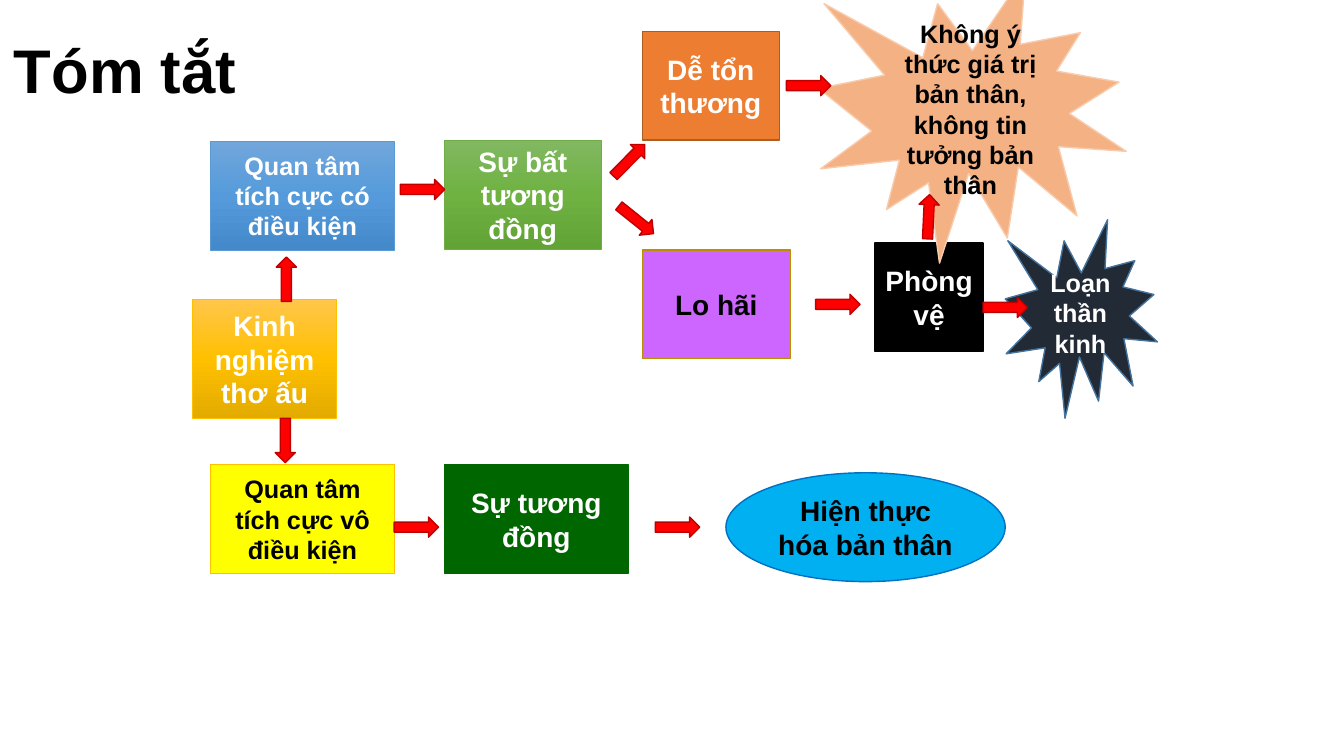
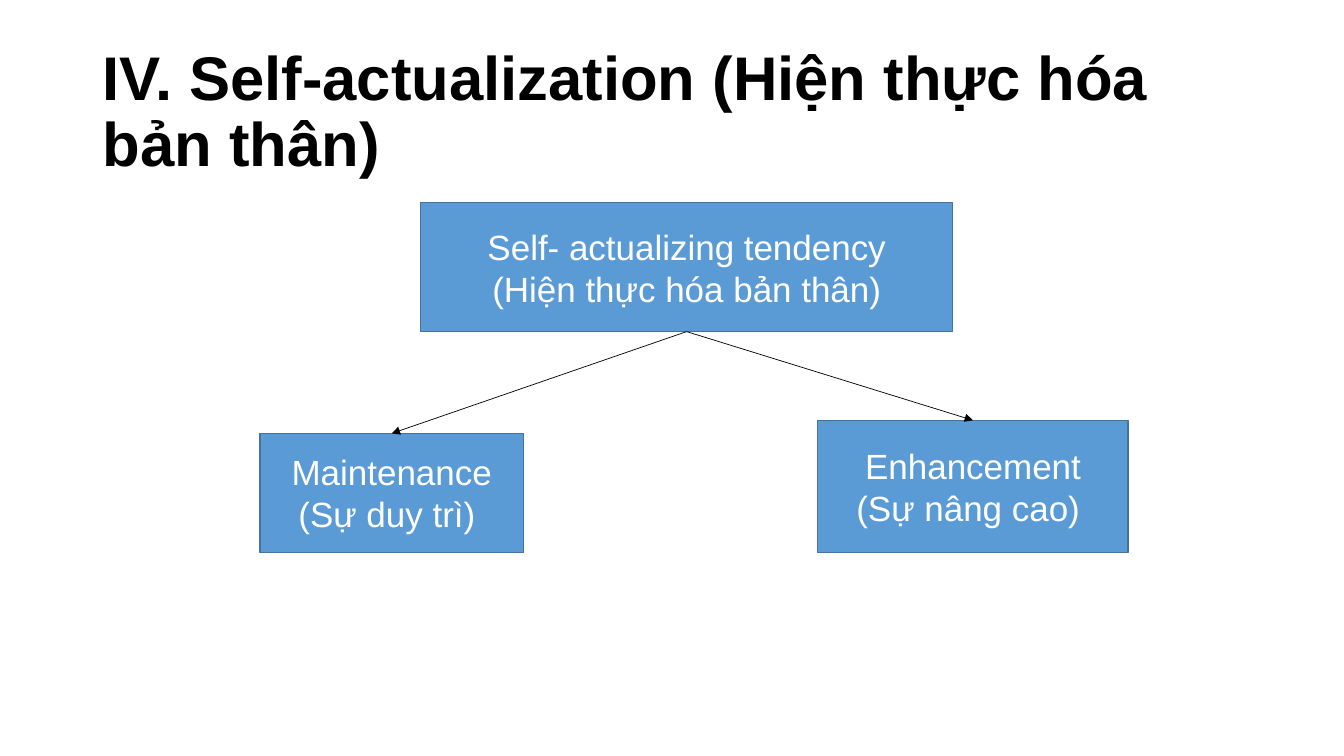
"""Build two slides on self-actualization: a summary flow and a small tree."""
import copy
import dataclasses

import lxml.etree
import pptx
import pptx.dml.color
import pptx.enum.shapes
import pptx.enum.text
import pptx.oxml.ns
import pptx.util

SHAPE = pptx.enum.shapes.MSO_SHAPE
ALIGN = pptx.enum.text.PP_ALIGN
MIDDLE = pptx.enum.text.MSO_ANCHOR.MIDDLE
qn = pptx.oxml.ns.qn
SCALE = 9144
TOP, BOTTOM = 0, 2


@dataclasses.dataclass(frozen=True)
class Theme:
    font: str = "Arial"
    title: int = 44
    tree: int = 25
    large: int = 20
    small: int = 18
    thin: float = 0.5
    line: float = 1
    black: str = "000000"
    white: str = "FFFFFF"
    red: str = "FF0000"
    maroon: str = "C00000"
    gold: str = "FFC000"
    ochre: str = "BD8E00"
    yellow: str = "FFFF00"
    orange: str = "ED7D31"
    rust: str = "AF5C24"
    peach: str = "F4B183"
    cream: str = "F8CBAD"
    leaf: str = "70AD47"
    forest: str = "006600"
    violet: str = "CC66FF"
    blue: str = "5B9BD5"
    steel: str = "43739E"
    navy: str = "222A35"
    sky: str = "00B0F0"
    cobalt: str = "0070C0"
    amber_fade: tuple = ("FFC64B", "FFC000", "E3AB00")
    leaf_fade: tuple = ("81B861", "6FB242", "62A336")
    blue_fade: tuple = ("71A6DB", "559BDB", "448ACA")


def px(*sizes):
    return [pptx.util.Emu(size * SCALE) for size in sizes]


def rgb(code):
    return pptx.dml.color.RGBColor.from_string(code)


class Deck:
    def __init__(self, theme):
        self.theme = theme
        self.file = pptx.Presentation()
        self.file.slide_width, self.file.slide_height = px(1333, 750)
        self.slide = None

    def page(self):
        self.slide = self.file.slides.add_slide(self.file.slide_layouts[6])

    def label(self, shape, lines, size, color, bold=True, align=ALIGN.CENTER, space=None):
        frame = shape.text_frame
        frame.word_wrap = True
        frame.vertical_anchor = MIDDLE
        for i, line in enumerate(lines):
            para = frame.add_paragraph() if i else frame.paragraphs[0]
            para.alignment = align
            para.line_spacing = space
            run = para.add_run()
            run.text = line
            run.font.name = self.theme.font
            run.font.size = pptx.util.Pt(size)
            run.font.bold = bold
            run.font.color.rgb = rgb(color)

    def title(self, text, left, top):
        box = self.slide.shapes.add_textbox(*px(left, top, 1150, 145))
        self.label(box, [text], self.theme.title, self.theme.black, align=ALIGN.LEFT, space=0.9)

    def fade(self, shape, colors):
        shape.fill.gradient()
        shape.fill.gradient_angle = 270
        stops = shape._element.spPr.find(".//" + qn("a:gsLst"))
        stops.insert(1, copy.deepcopy(stops[0]))
        for stop, color, spot in zip(shape.fill.gradient_stops, colors, (0, 0.5, 1)):
            stop.color.rgb = rgb(color)
            stop.position = spot

    def shape(self, kind, place, fill, edge, width=None):
        shape = self.slide.shapes.add_shape(kind, *px(*place))
        shape.shadow.inherit = False
        if isinstance(fill, tuple):
            self.fade(shape, fill)
        else:
            shape.fill.solid()
            shape.fill.fore_color.rgb = rgb(fill)
        shape.line.color.rgb = rgb(edge)
        shape.line.width = pptx.util.Pt(width or self.theme.line)
        return shape

    def arrow(self, left, top, turn=0):
        look = self.theme
        arrow = self.shape(SHAPE.RIGHT_ARROW, (left, top, 44, 20), look.red, look.maroon)
        arrow.rotation = turn

    def node(self, *place, lines):
        look = self.theme
        node = self.shape(SHAPE.RECTANGLE, place, look.blue, look.steel)
        self.label(node, lines, look.tree, look.white, bold=False)
        return node

    def link(self, start, end):
        kind = pptx.enum.shapes.MSO_CONNECTOR.STRAIGHT
        link = self.slide.shapes.add_connector(kind, 0, 0, 0, 0)
        link.begin_connect(start, BOTTOM)
        link.end_connect(end, TOP)
        link.line.color.rgb = rgb(self.theme.black)
        link.line.width = pptx.util.Pt(self.theme.thin)
        props = link._element.spPr
        lxml.etree.SubElement(props.find(qn("a:ln")), qn("a:tailEnd"), type="triangle")
        lxml.etree.SubElement(props, qn("a:effectLst"))


def flow(deck):
    look = deck.theme
    rect, seal = SHAPE.RECTANGLE, SHAPE.EXPLOSION1
    thin, line = look.thin, look.line
    large, small = look.large, look.small
    black, white = look.black, look.white
    deck.page()
    for kind, place, fill, edge, width, text, size, color in (
        (rect, (191, 297, 143, 118), look.amber_fade, look.gold, thin,
         "Kinh nghiệm thơ ấu", large, white),
        (rect, (637, 31, 136, 108), look.orange, look.rust, line,
         "Dễ tổn thương", large, white),
        (rect, (441, 139, 155, 108), look.leaf_fade, look.leaf, thin,
         "Sự bất tương đồng", large, white),
        (rect, (209, 461, 182, 108), look.yellow, look.gold, thin,
         "Quan tâm tích cực vô điều kiện", small, black),
        (rect, (209, 140, 182, 108), look.blue_fade, look.blue, thin,
         "Quan tâm tích cực có điều kiện", small, white),
        (rect, (637, 248, 147, 108), look.violet, look.ochre, line,
         "Lo hãi", large, black),
        (rect, (868, 241, 107, 108), black, black, line,
         "Phòng vệ", large, white),
        (rect, (441, 461, 182, 108), look.forest, look.forest, line,
         "Sự tương đồng", large, white),
        (seal, (812, -27, 305, 288), look.peach, look.cream, line,
         "Không ý thức giá trị bản thân, không tin tưởng bản thân", small, black),
        (seal, (997, 218, 151, 197), look.navy, look.steel, line,
         "Loạn thần kinh", small, white),
        (SHAPE.OVAL, (720, 469, 277, 108), look.sky, look.cobalt, line,
         "Hiện thực hóa bản thân", large, black),
    ):
        shape = deck.shape(kind, place, fill, edge, width)
        deck.label(shape, [text], size, color)
    for spot in (
        (397, 178), (391, 513), (650, 513), (809, 292), (975, 295),
        (602, 149, 314.6), (609, 208, 38.7), (780, 75),
        (899, 205, 272.7), (262, 267, 270), (261, 427, 90),
    ):
        deck.arrow(*spot)
    deck.title("Tóm tắt", 4, 0)


def tree(deck):
    deck.page()
    deck.title("IV. Self-actualization (Hiện thực hóa bản thân)", 92, 40)
    leaves = [
        deck.node(258, 430, 261, 118, lines=["Maintenance", "(Sự duy trì) "]),
        deck.node(811, 417, 308, 131, lines=["Enhancement", "(Sự nâng cao) "]),
    ]
    root = deck.node(417, 201, 528, 128,
                     lines=["Self- actualizing tendency", "(Hiện thực hóa bản thân)"])
    for leaf in leaves:
        deck.link(root, leaf)


def main():
    deck = Deck(Theme())
    flow(deck)
    tree(deck)
    deck.file.save("out.pptx")


if __name__ == "__main__":
    main()
